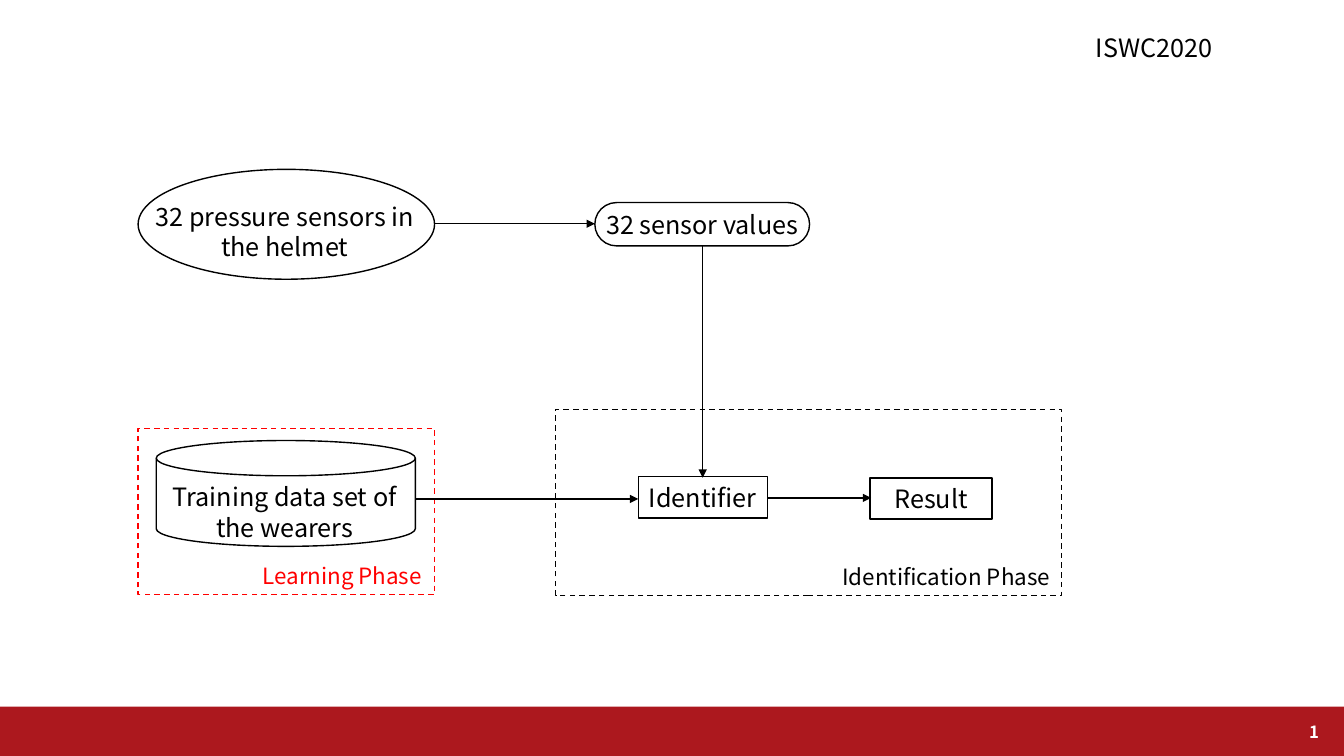
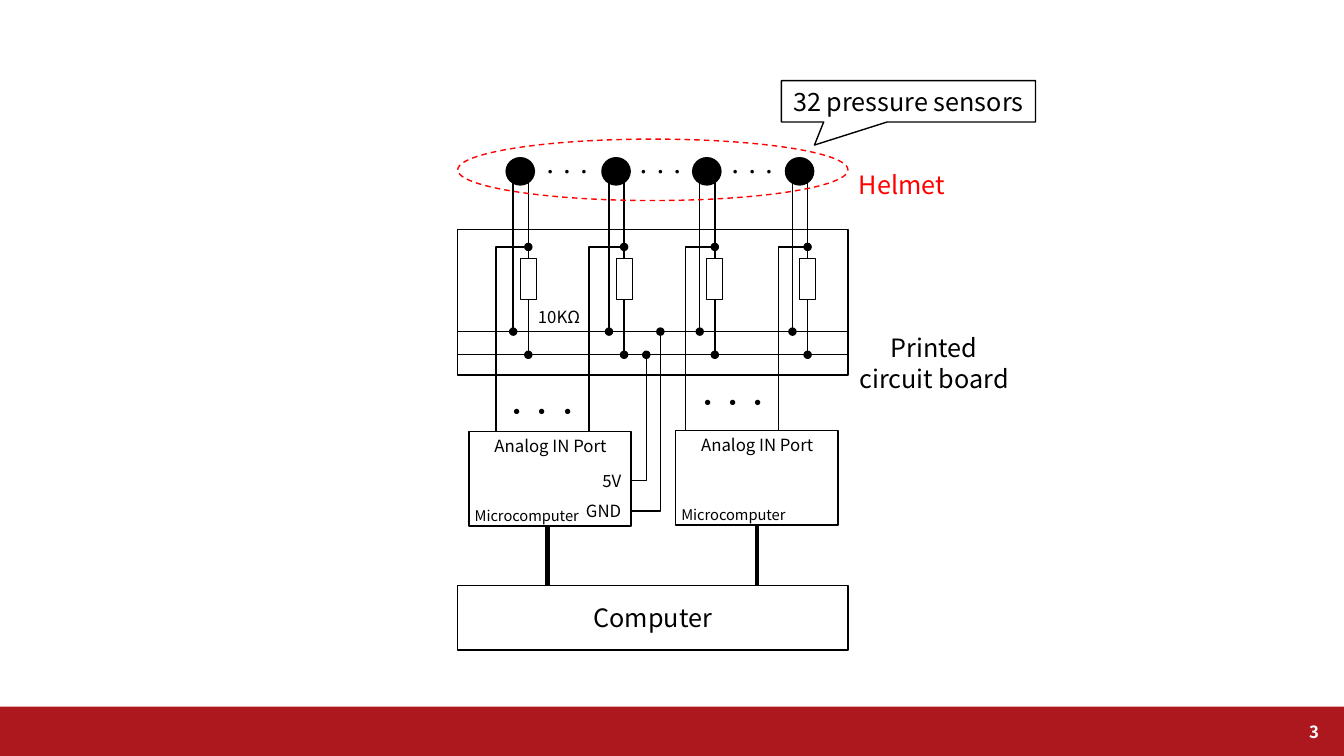
from dataclasses import dataclass

from pptx import Presentation
from pptx import util as u
from pptx.dml.color import RGBColor
from pptx.enum import dml, shapes, text
from pptx.oxml.ns import qn
from lxml import etree


@dataclass(frozen=True)
class Theme:
    font: str = "Noto Sans CJK JP"
    ink: str = "000000"
    accent: str = "FF0000"
    band: str = "AC181E"
    paper: str = "FFFFFF"
    body: float = 18
    phase: float = 16
    small: float = 12
    tiny: float = 10.5
    line: float = 1
    thin: float = 0.5
    thick: float = 3


THEME = Theme()
KIND = shapes.MSO_SHAPE
ALIGN = text.PP_ALIGN
ANCHOR = text.MSO_ANCHOR
WIDTH, HEIGHT = 13.33, 7.5


def color(code):
    return RGBColor.from_string(code)


def write(frame, words, size, ink, align, anchor, wrap, bold=False):
    frame.word_wrap = wrap
    frame.vertical_anchor = anchor
    paragraph = frame.paragraphs[0]
    paragraph.text = words
    paragraph.alignment = align
    font = paragraph.font
    font.name = THEME.font
    font.size = u.Pt(size)
    font.bold = bold
    font.color.rgb = color(ink)
    latin = paragraph._p.pPr.find(qn("a:defRPr")).find(qn("a:latin"))
    east_asian = etree.Element(qn("a:ea"))
    east_asian.set("typeface", THEME.font)
    latin.addnext(east_asian)


class Region:
    def __init__(self, slide, left=0, top=0):
        self.slide = slide
        self.left = left
        self.top = top

    def place(self, x, y):
        return u.Inches(self.left + x), u.Inches(self.top + y)

    def outline(self, kind, x, y, width, height, words=None, ink=THEME.ink,
                fill=None, line=THEME.line, dashed=False):
        shape = self.slide.shapes.add_shape(
            kind, *self.place(x, y), u.Inches(width), u.Inches(height))
        shape.shadow.inherit = False
        if fill:
            shape.fill.solid()
            shape.fill.fore_color.rgb = color(fill)
        else:
            shape.fill.background()
        if line:
            shape.line.color.rgb = color(ink)
            shape.line.width = u.Pt(line)
        else:
            shape.line.fill.background()
        if dashed:
            shape.line.dash_style = dml.MSO_LINE.DASH
        if words:
            write(shape.text_frame, words, THEME.body, THEME.ink,
                  ALIGN.CENTER, ANCHOR.MIDDLE, False)
        return shape

    def label(self, words, x, y, width, height, size=THEME.body, ink=THEME.ink,
              align=ALIGN.CENTER, anchor=ANCHOR.TOP, bold=False):
        box = self.slide.shapes.add_textbox(
            *self.place(x, y), u.Inches(width), u.Inches(height))
        write(box.text_frame, words, size, ink, align, anchor, True, bold)

    def dot(self, x, y, width=0.07, height=0.07):
        self.outline(KIND.OVAL, x - width / 2, y - height / 2, width, height,
                     fill=THEME.ink)

    def wire(self, start, end, width=THEME.line, arrow=False, bent=False):
        kind = shapes.MSO_CONNECTOR.ELBOW if bent else shapes.MSO_CONNECTOR.STRAIGHT
        connector = self.slide.shapes.add_connector(
            kind, *self.place(*start), *self.place(*end))
        connector.line.color.rgb = color(THEME.ink)
        connector.line.width = u.Pt(width)
        properties = connector._element.spPr
        if arrow:
            head = etree.SubElement(connector.line._get_or_add_ln(), qn("a:tailEnd"))
            head.set("type", "triangle")
        if bent:
            properties.find(qn("a:prstGeom")).set("prst", "bentConnector2")
            frame = properties.find(qn("a:xfrm"))
            if end[0] < start[0]:
                del frame.attrib["flipH"]
                frame.set("rot", "10800000")
                frame.set("flipV", "1")
        etree.SubElement(properties, qn("a:effectLst"))


def new_slide(presentation, number):
    slide = presentation.slides.add_slide(presentation.slide_layouts[6])
    height = 0.49
    footer = Region(slide, 0, HEIGHT - height)
    footer.outline(KIND.RECTANGLE, 0, 0, WIDTH, height, fill=THEME.band, line=None)
    footer.label(str(number), 12.26, 0, 0.92, height, THEME.small, THEME.paper,
                 ALIGN.RIGHT, ANCHOR.MIDDLE, True)
    return slide


def add_phase(slide, left, top, width, height, name, name_width, ink):
    phase = Region(slide, left, top)
    phase.outline(KIND.RECTANGLE, 0, 0, width, height, ink=ink, dashed=True)
    phase.label(name, width - name_width, height - 0.37, name_width, 0.37,
                THEME.phase, ink)
    return phase


def add_inputs(slide, left, top):
    inputs = Region(slide, left, top)
    inputs.outline(KIND.OVAL, 0, 0, 2.94, 1.09)
    inputs.label("32 pressure sensors in the helmet", -0.05, 0.27, 3.01, 0.71)
    inputs.outline(KIND.ROUNDED_RECTANGLE, 4.53, 0.33, 2.13, 0.43,
                   "32 sensor values").adjustments[0] = 0.5
    inputs.wire((2.93, 0.54), (4.53, 0.54), arrow=True)


def add_learning(slide, left, top):
    learning = add_phase(slide, left, top, 2.94, 1.65, "Learning Phase", 1.83,
                         THEME.accent)
    learning.outline(KIND.FLOWCHART_MAGNETIC_DISK, 0.18, 0.12, 2.57, 1.05)
    learning.label("Training data set of the wearers", 0.09, 0.48, 2.73, 0.71)


def add_identification(slide, left, top):
    phase = add_phase(slide, left, top, 5.02, 1.85, "Identification Phase", 2.29,
                      THEME.ink)
    phase.outline(KIND.RECTANGLE, 0.82, 0.67, 1.28, 0.41, "Identifier")
    phase.outline(KIND.RECTANGLE, 3.12, 0.68, 1.21, 0.41, "Result")
    phase.wire((2.1, 0.88), (3.13, 0.88), arrow=True)


def build_process(presentation):
    slide = new_slide(presentation, 1)
    page = Region(slide)
    page.label("ISWC2020", 10.77, 0.27, 1.95, 0.4, align=ALIGN.LEFT)
    add_inputs(slide, 1.37, 1.68)
    add_learning(slide, 1.37, 4.25)
    add_identification(slide, 5.51, 4.06)
    page.wire((4.12, 4.95), (6.33, 4.95), arrow=True)
    page.wire((6.97, 2.44), (6.97, 4.74), arrow=True)


def add_sensor(slide, center, top, tap, port):
    sensor = Region(slide, center, top)
    supply, signal = -0.07, 0.08
    sensor.dot(0, 0.14, 0.28, 0.27)
    sensor.wire((supply, 0.23), (supply, 1.71))
    sensor.wire((signal, 0.23), (signal, 1))
    sensor.outline(KIND.RECTANGLE, signal - 0.08, 1, 0.16, 0.41, line=THEME.thin)
    sensor.wire((signal, 1.41), (signal, 1.98))
    for x, y in ((signal, 0.89), (supply, 1.73), (signal, 1.96)):
        sensor.dot(x, y)
    sensor.wire((signal - 0.04, 0.89), (tap - center, port - top), bent=True)


def add_helmet(slide, left, top, centers):
    helmet = Region(slide, left, top)
    helmet.outline(KIND.OVAL, 0, 0, 3.87, 0.61, ink=THEME.accent, dashed=True)
    helmet.label("Helmet", 3.87, 0.25, 1.07, 0.4, ink=THEME.accent)
    for first, second in zip(centers, centers[1:]):
        middle = (first + second) / 2 - left
        helmet.label("・・・", middle - 0.37, 0.18, 0.72, 0.3, THEME.small)
    callout = helmet.outline(KIND.RECTANGULAR_CALLOUT, 3.21, -0.58, 2.52, 0.41,
                             "32 pressure sensors")
    callout.adjustments[0] = -0.37
    callout.adjustments[1] = 1.06


def add_board(slide, left, top):
    board = Region(slide, left, top)
    board.outline(KIND.RECTANGLE, 0, 0, 3.87, 1.44)
    for rail in (1.01, 1.24):
        board.wire((0, rail), (3.87, rail))
    board.label("10KΩ", 0.64, 0.71, 0.73, 0.3, THEME.small)
    board.label("Printed circuit board", 3.87, 0.97, 1.71, 0.71)


def add_microcomputer(slide, left, top):
    chip = Region(slide, left, top)
    chip.outline(KIND.RECTANGLE, 0, 0, 1.61, 0.94)
    chip.label("Analog IN Port", 0, -0.01, 1.62, 0.3, THEME.small)
    chip.label("Microcomputer", -0.04, 0.7, 1.3, 0.28, THEME.tiny, align=ALIGN.LEFT)
    return chip


def add_power(chip):
    for name, y, x, rail in (("5V", 0.49, 1.76, -0.76), ("GND", 0.79, 1.9, -0.99)):
        chip.label(name, 1, y - 0.15, 0.61, 0.3, THEME.small, align=ALIGN.RIGHT)
        chip.wire((1.61, y), (x, rail), bent=True)
        chip.dot(x, rail)


def add_computer(slide, left, top):
    computer = Region(slide, left, top)
    computer.outline(KIND.RECTANGLE, 0, 0, 3.87, 0.64, "Computer")
    for x in (0.89, 2.97):
        computer.wire((x, -0.6), (x, 0), THEME.thick)


def build_circuit(presentation):
    slide = new_slide(presentation, 3)
    left = 4.54
    centers = (5.16, 6.11, 7.01, 7.93)
    taps = (4.92, 5.84, 6.8, 7.72)
    ports = (4.28, 4.28, 4.27, 4.27)
    add_board(slide, left, 2.28)
    add_computer(slide, left, 5.81)
    for center, tap, port in zip(centers, taps, ports):
        add_sensor(slide, center, 1.56, tap, port)
    add_power(add_microcomputer(slide, 4.65, 4.28))
    add_microcomputer(slide, 6.7, 4.27)
    page = Region(slide)
    for x, y in ((4.87, 3.88), (6.76, 3.79)):
        page.label("・・・", x, y, 1.02, 0.4)
    add_helmet(slide, left, 1.38, centers)


def main():
    presentation = Presentation()
    presentation.slide_width = u.Inches(WIDTH)
    presentation.slide_height = u.Inches(HEIGHT)
    build_process(presentation)
    build_circuit(presentation)
    presentation.save("out.pptx")


if __name__ == "__main__":
    main()
